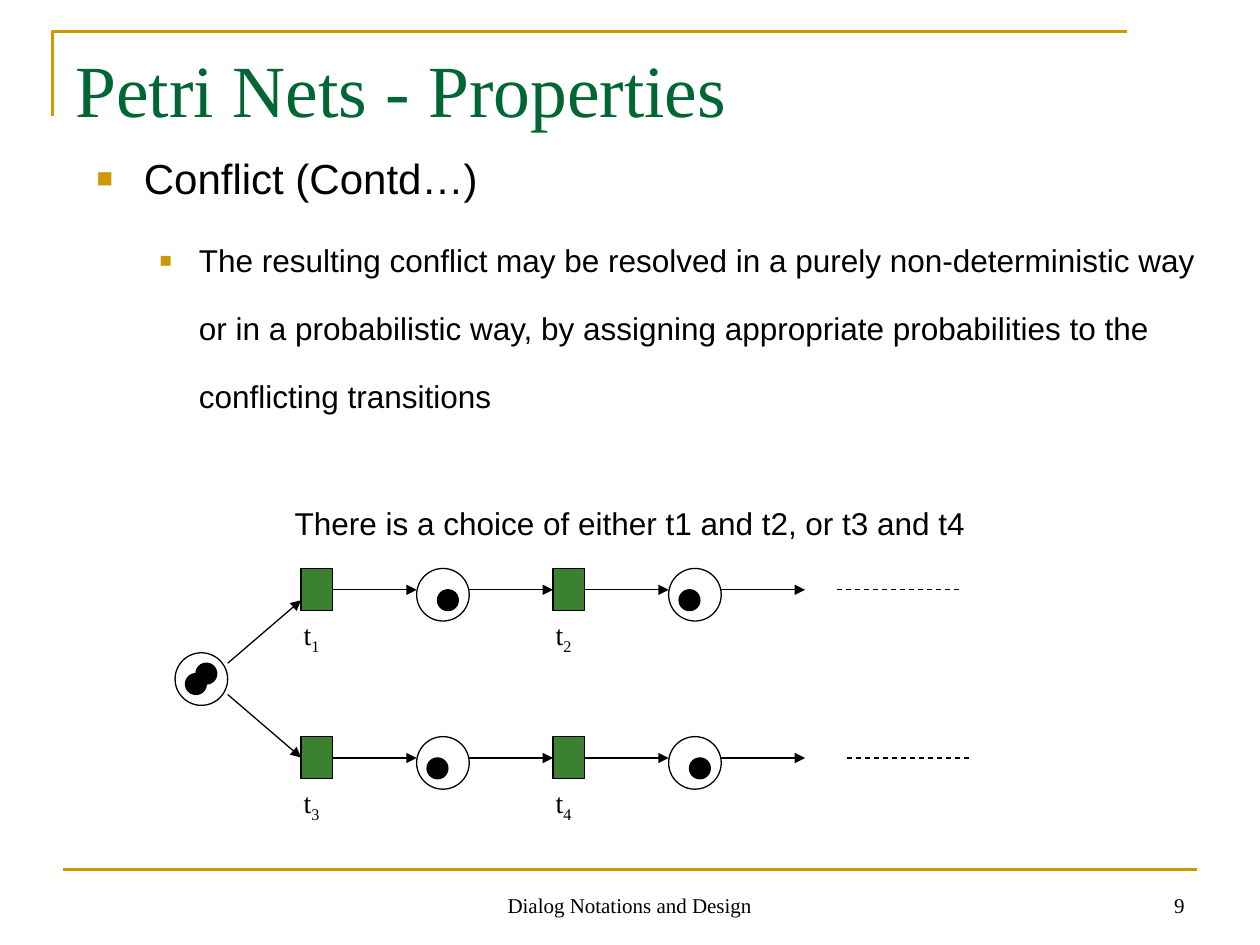
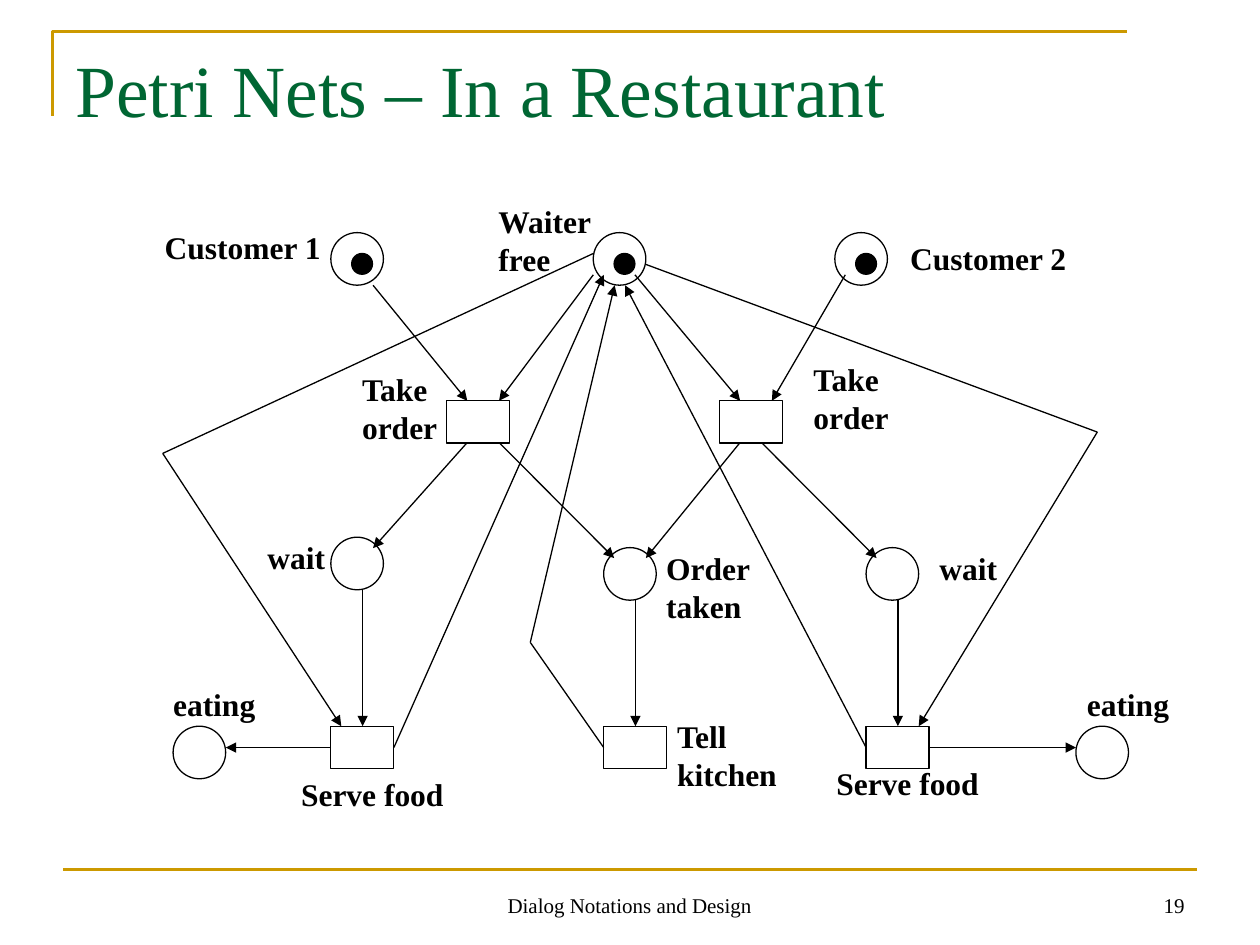
"""Build two Petri net slides that share a title style, frame and footer."""
from itertools import pairwise

from lxml import etree
from pptx import Presentation
from pptx.dml.color import RGBColor
from pptx.enum.dml import MSO_LINE
from pptx.enum.shapes import MSO_CONNECTOR, MSO_SHAPE
from pptx.enum.text import MSO_ANCHOR, PP_ALIGN
from pptx.oxml.ns import qn
from pptx.util import Cm, Pt

SERIF, SANS = "Times New Roman", "Arial"
BLACK, GOLD, TITLE_GREEN, NET_GREEN = "000000", "CC9900", "006633", "3B812F"
FOOTER = "Dialog Notations and Design"
FRAME = [(1.06, 2.33), (1.06, 0.63), (22.72, 0.63)]
PLACE, TOKEN = 1.06, 0.42

CONFLICT_TITLE, CONFLICT_NUMBER = "Petri Nets - Properties", "9"
CONFLICT_POINTS = [
    ("Conflict (Contd…)", 24, 0.95, 0.95, 0),
    ("The resulting conflict may be resolved in a purely non-deterministic way "
     "or in a probabilistic way, by assigning appropriate probabilities to the "
     "conflicting transitions", 18, 2.06, 0.79, 4.5),
]
CHOICE = "There is a choice of either t1 and t2, or t3 and t4"
BRANCHES = [
    {"steps": [("1", 0.42), ("2", 0.21)], "dash_left": 16.87,
     "fork": [(4.59, 13.37), (6.07, 12.1)]},
    {"steps": [("3", 0.21), ("4", 0.42)], "dash_left": 17.07,
     "fork": [(4.59, 14), (6.07, 15.27)]},
]
BRANCH_LEFT, BRANCH_TOP = 6.07, 11.46
STEP_PITCH, BRANCH_PITCH = 5.08, 3.39
STEP_WIDTH, STEP_HEIGHT = 0.64, 0.85
STEP_TO_PLACE, WIRE_DROP, DASH_LENGTH = 2.33, 0.43, 2.54
SHARED_PLACE = (3.53, 13.16)
SHARED_TOKENS = [(0.21, 0.42), (0.42, 0.21)]

RESTAURANT_TITLE, RESTAURANT_NUMBER = "Petri Nets – In a Restaurant", "19"
MARKED_PLACES = [(6.67, 4.69), (11.96, 4.69), (16.83, 4.69)]
EMPTY_PLACES = [(6.67, 10.83), (12.17, 11.04), (17.46, 11.04),
                (3.49, 14.64), (21.69, 14.64)]
TRANSITIONS = [(9, 8.08), (14.5, 8.08),
               (6.67, 14.64), (12.17, 14.64), (17.46, 14.64)]
TRANSITION_WIDTH, TRANSITION_HEIGHT = 1.27, 0.85
ARCS = [
    [(7.52, 5.75), (9.42, 8.08)],
    [(11.96, 5.54), (10.06, 8.08)],
    [(12.8, 5.54), (14.92, 8.08)],
    [(17.04, 5.54), (15.56, 8.08)],
    [(9.42, 8.92), (7.52, 11.05)],
    [(10.06, 8.92), (12.38, 11.25)],
    [(14.92, 8.92), (13.02, 11.25)],
    [(15.35, 8.92), (17.67, 11.25)],
    [(7.31, 11.89), (7.31, 14.64)],
    [(12.81, 12.09), (12.81, 14.64)],
    [(18.1, 12.09), (18.1, 14.64)],
    [(6.66, 15.07), (4.55, 15.07)],
    [(18.74, 15.07), (21.69, 15.07)],
    [(7.94, 15.07), (12.17, 5.54)],
    [(17.46, 15.07), (12.6, 5.75)],
    [(12.17, 15.07), (10.69, 12.95), (12.39, 5.75)],
    [(11.96, 5.11), (3.28, 9.14), (6.88, 14.64)],
    [(13.02, 5.33), (22.12, 8.71), (18.52, 14.64)],
]
NAMES = [
    (["Waiter", "free"], 9.8, 3.95, 2.41),
    (["Customer 1"], 3.07, 4.48, 3.66),
    (["Customer 2"], 18.1, 4.7, 3.66),
    (["Take", "order"], 7.05, 7.34, 2.01),
    (["Take", "order"], 16.15, 7.14, 2.01),
    (["Order", "taken"], 13.18, 10.95, 2.18),
    (["Tell", "kitchen"], 13.4, 14.33, 2.51),
    (["wait"], 5.14, 10.72, 1.68),
    (["wait"], 18.69, 10.95, 1.68),
    (["Serve food"], 5.82, 15.49, 3.38),
    (["Serve food"], 16.61, 15.27, 3.38),
    (["eating"], 3.24, 13.69, 2.16),
    (["eating"], 21.66, 13.69, 2.16),
]
NAME_SLACK = 0.15


def rgb(code):
    return RGBColor.from_string(code)


def add_run(paragraph, text, size, font=SERIF, color=BLACK, bold=False):
    run = paragraph.add_run()
    run.text = text
    run.font.size, run.font.name, run.font.bold = Pt(size), font, bold
    run.font.color.rgb = rgb(color)
    return run


def add_text(slide, box, lines, size, font=SERIF, color=BLACK, bold=False,
             align=PP_ALIGN.LEFT, anchor=MSO_ANCHOR.TOP):
    frame = slide.shapes.add_textbox(*map(Cm, box)).text_frame
    frame.word_wrap, frame.vertical_anchor = True, anchor
    for index, line in enumerate(lines):
        paragraph = frame.add_paragraph() if index else frame.paragraphs[0]
        paragraph.alignment = align
        add_run(paragraph, line, size, font, color, bold)
    return frame


def add_node(slide, kind, left, top, width, height, fill=None):
    node = slide.shapes.add_shape(kind, *map(Cm, (left, top, width, height)))
    node.shadow.inherit = False
    if fill:
        node.fill.solid()
        node.fill.fore_color.rgb = rgb(fill)
    else:
        node.fill.background()
    node.line.color.rgb, node.line.width = rgb(BLACK), Pt(0.75)


def add_place(slide, left, top, tokens=()):
    add_node(slide, MSO_SHAPE.OVAL, left, top, PLACE, PLACE)
    for across, down in tokens:
        add_node(slide, MSO_SHAPE.OVAL, left + across, top + down, TOKEN, TOKEN, BLACK)


def add_line(slide, start, end, color=BLACK, width=0.75, arrow=False, dash=False):
    line = slide.shapes.add_connector(MSO_CONNECTOR.STRAIGHT, *map(Cm, (*start, *end)))
    line.line.color.rgb, line.line.width = rgb(color), Pt(width)
    if dash:
        line.line.dash_style = MSO_LINE.DASH
    if arrow:
        etree.SubElement(line.line._get_or_add_ln(), qn("a:tailEnd"), type="triangle")
    etree.SubElement(line._element.spPr, qn("a:effectLst"))


def add_arc(slide, points):
    legs = list(pairwise(points))
    for index, (start, end) in enumerate(legs, 1):
        add_line(slide, start, end, arrow=index == len(legs))


def add_bullet(paragraph, indent, hanging):
    props = paragraph._p.get_or_add_pPr()
    props.set("marL", str(Cm(indent)))
    props.set("indent", str(-Cm(hanging)))
    tint = etree.SubElement(props, qn("a:buClr"))
    etree.SubElement(tint, qn("a:srgbClr"), val=GOLD)
    etree.SubElement(props, qn("a:buSzPct"), val="65000")
    etree.SubElement(props, qn("a:buFont"), typeface=SANS)
    etree.SubElement(props, qn("a:buChar"), char="■")


def start_slide(deck, title, number):
    slide = deck.slides.add_slide(deck.slide_layouts[6])
    corner, *rest = [tuple(map(Cm, point)) for point in FRAME]
    builder = slide.shapes.build_freeform(*corner)
    builder.add_line_segments(rest, close=False)
    frame = builder.convert_to_shape()
    frame.shadow.inherit = False
    frame.fill.background()
    frame.line.color.rgb, frame.line.width = rgb(GOLD), Pt(1.5)
    add_line(slide, (1.27, 17.53), (24.13, 17.53), GOLD, 1.5)
    add_text(slide, (18.21, 17.35, 5.92, 1.27), [number], 12,
             align=PP_ALIGN.RIGHT, anchor=MSO_ANCHOR.BOTTOM)
    add_text(slide, (1.27, 0.76, 22.86, 3.18), [title], 42, color=TITLE_GREEN)
    add_text(slide, (8.67, 17.35, 8.05, 1.27), [FOOTER], 12,
             align=PP_ALIGN.CENTER, anchor=MSO_ANCHOR.BOTTOM)
    return slide


def add_branch(slide, branch, top):
    wire = top + WIRE_DROP
    add_arc(slide, branch["fork"])
    for column, (subscript, token_across) in enumerate(branch["steps"]):
        left = BRANCH_LEFT + column * STEP_PITCH
        place_left = left + STEP_TO_PLACE
        add_arc(slide, [(left + STEP_WIDTH, wire), (place_left, wire)])
        add_arc(slide, [(place_left + PLACE, wire), (left + STEP_PITCH, wire)])
        add_place(slide, place_left, top, [(token_across, 0.43)])
        add_node(slide, MSO_SHAPE.RECTANGLE, left, top, STEP_WIDTH, STEP_HEIGHT, NET_GREEN)
        label = add_text(slide, (left - 0.2, top + 0.86, 0.81 + NAME_SLACK, 1.04), ["t"], 16)
        index = add_run(label.paragraphs[0], subscript, 16)
        index._r.get_or_add_rPr().set("baseline", "-25000")
    dash_left = branch["dash_left"]
    add_line(slide, (dash_left, wire), (dash_left + DASH_LENGTH, wire), dash=True)


def build_conflict(deck):
    slide = start_slide(deck, CONFLICT_TITLE, CONFLICT_NUMBER)
    body = add_text(slide, (1.7, 2.14, 22.78, 6.25), [], 24)
    for order, (text, size, indent, hanging, before) in enumerate(CONFLICT_POINTS):
        point = body.add_paragraph() if order else body.paragraphs[0]
        add_bullet(point, indent, hanging)
        point.level = order
        point.line_spacing, point.space_before = 1.8, Pt(before)
        add_run(point, text, size, SANS)
    add_text(slide, (5.69, 10.03, 14.02 + NAME_SLACK, 1.02), [CHOICE], 18, SANS)
    add_place(slide, *SHARED_PLACE, SHARED_TOKENS)
    for row, branch in enumerate(BRANCHES):
        add_branch(slide, branch, BRANCH_TOP + row * BRANCH_PITCH)


def build_restaurant(deck):
    slide = start_slide(deck, RESTAURANT_TITLE, RESTAURANT_NUMBER)
    for left, top in TRANSITIONS:
        add_node(slide, MSO_SHAPE.RECTANGLE, left, top, TRANSITION_WIDTH, TRANSITION_HEIGHT)
    for left, top in EMPTY_PLACES:
        add_place(slide, left, top)
    for left, top in MARKED_PLACES:
        add_place(slide, left, top, [(0.42, 0.42)])
    for points in ARCS:
        add_arc(slide, points)
    for lines, left, top, width in NAMES:
        height = 0.26 + 0.76 * len(lines)
        add_text(slide, (left, top, width + NAME_SLACK, height), lines, 18, bold=True)


def main():
    deck = Presentation()
    deck.slide_width, deck.slide_height = Cm(25.4), Cm(19.05)
    build_conflict(deck)
    build_restaurant(deck)
    deck.save("out.pptx")


if __name__ == "__main__":
    main()
